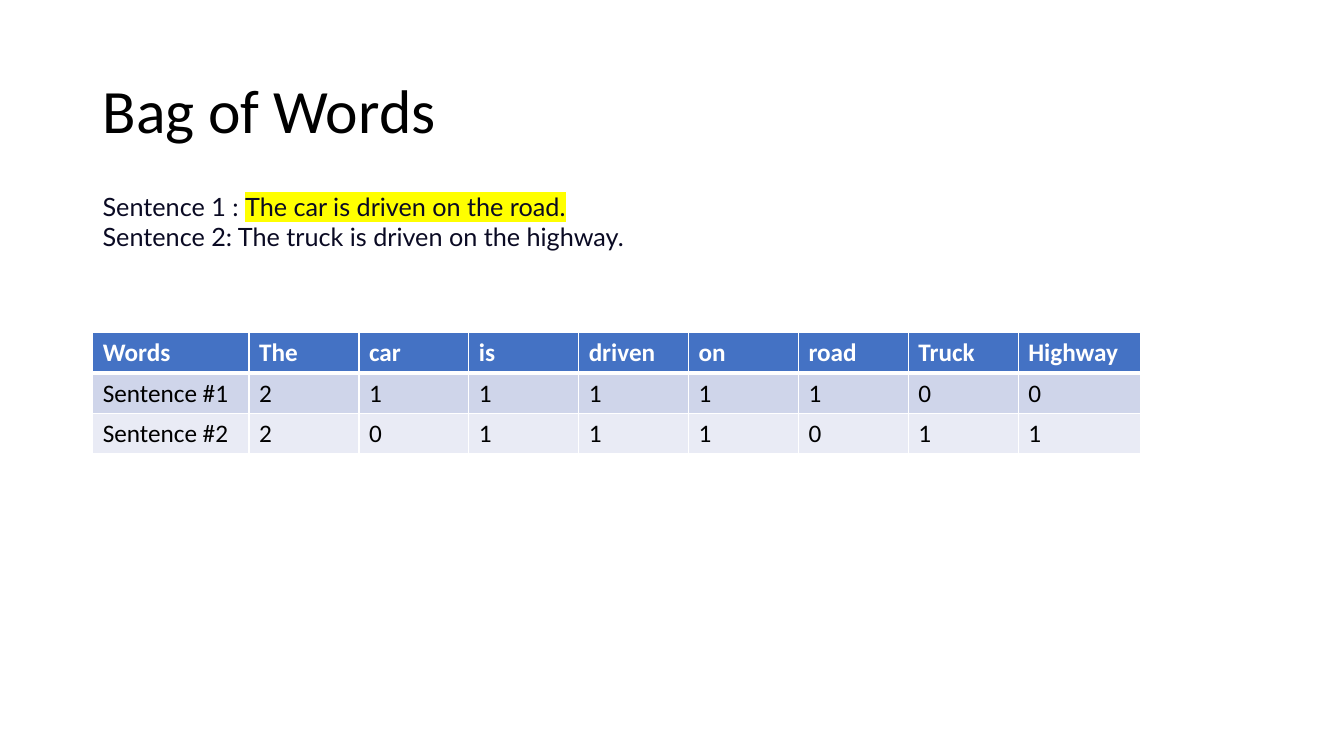
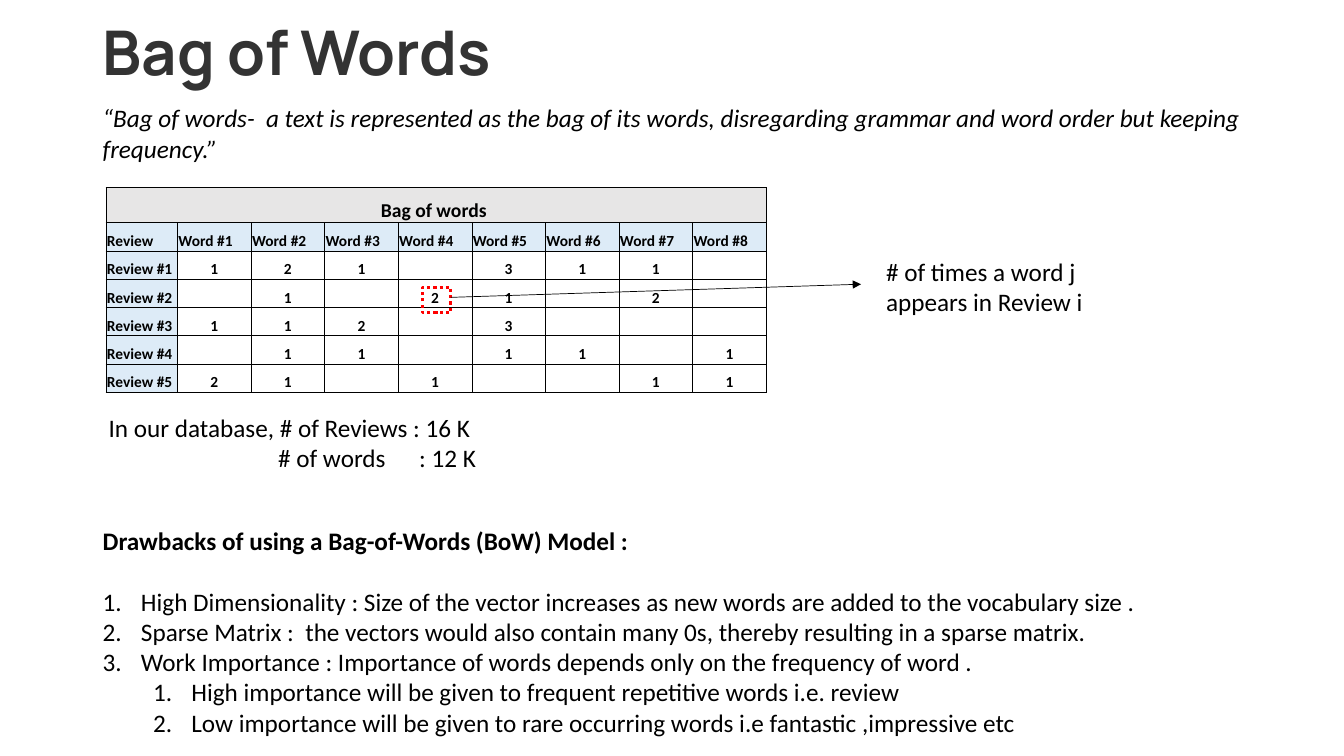
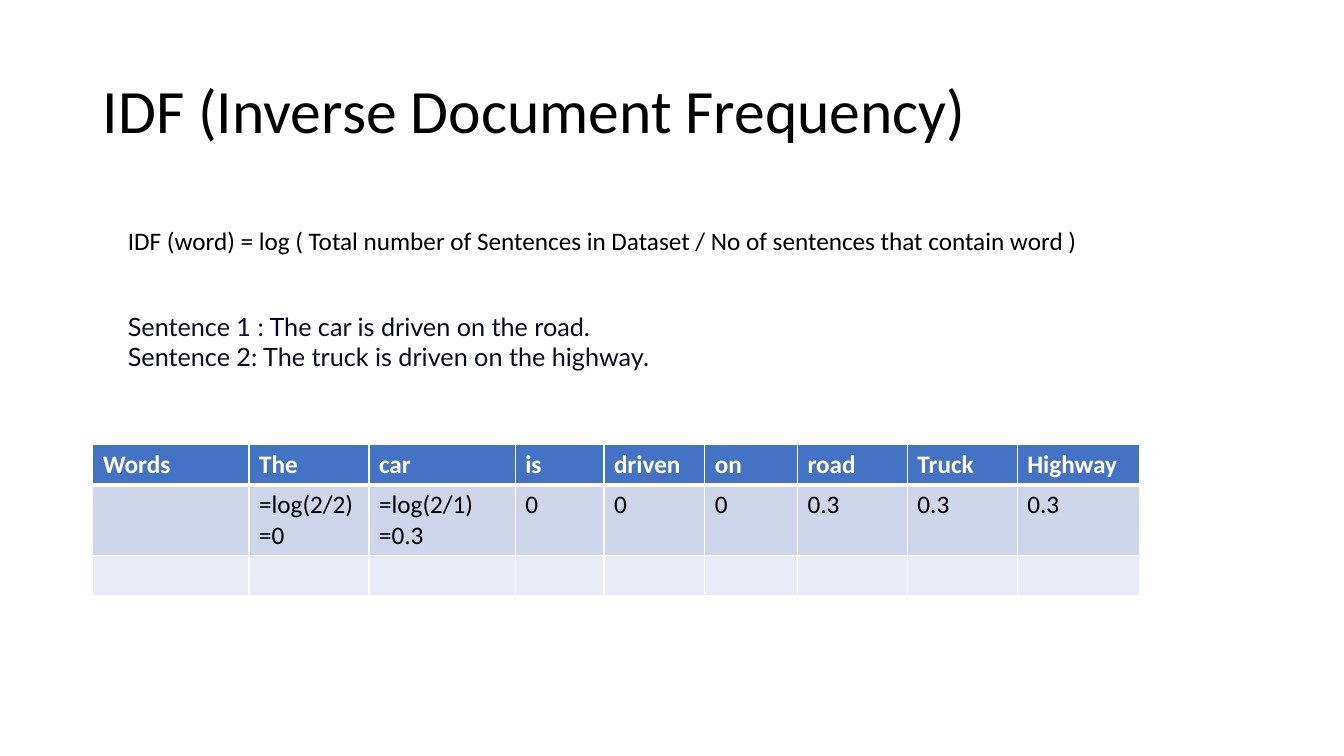
from lxml import etree
from pptx import Presentation
from pptx.dml.color import RGBColor
from pptx.enum.dml import MSO_LINE
from pptx.enum.shapes import MSO_CONNECTOR, MSO_SHAPE
from pptx.enum.text import MSO_ANCHOR, PP_ALIGN
from pptx.oxml.ns import qn
from pptx.util import Inches, Pt

BLACK = RGBColor(0x00, 0x00, 0x00)
WHITE = RGBColor(0xFF, 0xFF, 0xFF)
CHARCOAL = RGBColor(0x33, 0x33, 0x33)
NAVY = RGBColor(0x0A, 0x0A, 0x23)
YELLOW = RGBColor(0xFF, 0xFF, 0x00)
RED = RGBColor(0xFF, 0x00, 0x00)
HEADER_BLUE = RGBColor(0x44, 0x72, 0xC4)
BAND_DARK = RGBColor(0xCF, 0xD5, 0xEA)
BAND_LIGHT = RGBColor(0xE9, 0xEB, 0xF5)
GREY = RGBColor(0xE7, 0xE6, 0xE6)
PALE_BLUE = RGBColor(0xDD, 0xEB, 0xF7)

BODY_FONT, SENTENCE_FONT, ACCENT_FONT = "Calibri", "Lato", "Manrope"
SOLID_DOT = MSO_LINE.ROUND_DOT
RECTANGLE = MSO_SHAPE.RECTANGLE
STRAIGHT = MSO_CONNECTOR.STRAIGHT
MIDDLE, BOTTOM, TOP = MSO_ANCHOR.MIDDLE, MSO_ANCHOR.BOTTOM, MSO_ANCHOR.TOP
LEFT, CENTER = PP_ALIGN.LEFT, PP_ALIGN.CENTER

MARGIN = 0.92
WORDS = ["Words", "The", "car", "is", "driven", "on", "road", "Truck", "Highway"]
SENTENCE_2 = "Sentence 2: The truck is driven on the highway."


def add_xml(parent, tag, **attributes):
    return etree.SubElement(parent, qn(tag), attributes)


class Deck:
    """Holds the shared style and the slide being filled."""

    def __init__(self):
        self.prs = Presentation()
        self.prs.slide_width, self.prs.slide_height = Inches(13.33), Inches(7.5)
        self.slide = None

    def new_slide(self):
        self.slide = self.prs.slides.add_slide(self.prs.slide_layouts[6])

    def run(self, paragraph, text, size=18, font=BODY_FONT, color=BLACK,
            bold=False, italic=False, highlight=None):
        run = paragraph.add_run()
        run.text = text
        style = run.font
        style.size, style.name, style.bold, style.italic = Pt(size), font, bold, italic
        style.color.rgb = color
        if highlight is not None:
            mark = etree.Element(qn("a:highlight"))
            add_xml(mark, "a:srgbClr", val=str(highlight))
            run._r.rPr.find(qn("a:solidFill")).addnext(mark)

    def text(self, left, top, width, height, lines, anchor=TOP, **style):
        """Each line is a string or a list of (text, extra style) runs."""
        box = self.slide.shapes.add_textbox(
            Inches(left), Inches(top), Inches(width), Inches(height))
        frame = box.text_frame
        frame.word_wrap = True
        frame.vertical_anchor = anchor
        for i, line in enumerate(lines):
            paragraph = frame.add_paragraph() if i else frame.paragraphs[0]
            runs = [(line, {})] if isinstance(line, str) else line
            for words, extra in runs:
                self.run(paragraph, words, **{**style, **extra})
        return frame.paragraphs

    def title(self, words, top=0.4, height=1.45, **style):
        heading = self.text(MARGIN, top, 11.5, height, [words], MIDDLE, size=44, **style)[0]
        heading.line_spacing = 0.9

    def sentences(self, left, top, highlight=None):
        first = [("Sentence 1 : ", {}),
                 ("The car is driven on the road.", {"highlight": highlight})]
        self.text(left, top, 6.67, 0.71, [first, SENTENCE_2],
                  font=SENTENCE_FONT, color=NAVY)

    def number(self, paragraph, level):
        paragraph.level = level
        properties = paragraph._p.get_or_add_pPr()
        properties.set("marL", str(Inches(0.38 + 0.5 * level)))
        properties.set("indent", str(Inches(-0.38)))
        add_xml(properties, "a:buFont", typeface="+mj-lt")
        add_xml(properties, "a:buAutoNum", type="arabicPeriod")

    def tab_stops(self, paragraph, stops):
        tabs = add_xml(paragraph._p.get_or_add_pPr(), "a:tabLst")
        for stop in stops:
            add_xml(tabs, "a:tab", pos=str(Inches(stop)), algn="l")

    def table(self, left, top, columns, rows):
        frame = self.slide.shapes.add_table(
            len(rows), len(columns), Inches(left), Inches(top),
            Inches(sum(columns)), Inches(sum(rows)))
        table = frame.table
        table.first_row = table.horz_banding = False
        for column, width in zip(table.columns, columns):
            column.width = Inches(width)
        for row, height in zip(table.rows, rows):
            row.height = Inches(height)
        return table

    def cell(self, cell, words, fill, border, weights, align=LEFT, size=18, **style):
        """Weights are the border widths left, right, top and bottom."""
        properties = cell._tc.get_or_add_tcPr()
        for side, weight in zip("LRTB", weights):
            line = add_xml(properties, f"a:ln{side}", w=str(Pt(weight)))
            add_xml(add_xml(line, "a:solidFill"), "a:srgbClr", val=str(border))
        if fill is None:
            cell.fill.background()
        else:
            cell.fill.solid()
            cell.fill.fore_color.rgb = fill
        frame = cell.text_frame
        for i, line in enumerate(words.split("\n")):
            paragraph = frame.add_paragraph() if i else frame.paragraphs[0]
            paragraph.alignment = align
            if line:
                self.run(paragraph, line, size=size, **style)
            else:
                paragraph._p.get_or_add_endParaRPr().set("sz", str(size * 100))

    def word_table(self, top, columns, heights, body):
        table = self.table(MARGIN, top, columns, heights)
        fills = [HEADER_BLUE, BAND_DARK, BAND_LIGHT]
        for r, values in enumerate([WORDS] + body):
            header = r == 0
            weights = (1, 1, 3 if r == 1 else 1, 3 if header else 1)
            for c, value in enumerate(values):
                self.cell(table.cell(r, c), value, fills[r], WHITE, weights,
                          color=WHITE if header else BLACK, bold=header)

    def review_table(self, left, top, counts):
        table = self.table(left, top, [0.71] + [0.73] * 8, [0.35] + [0.28] * 6)
        header = ["Review"] + [f"Word #{n}" for n in range(1, 9)]
        reviews = [[f"Review #{n}"] + list(row.replace("-", " "))
                   for n, row in enumerate(counts, 1)]
        for r, values in enumerate([["Bag of words "] + [""] * 8, header] + reviews):
            for c, value in enumerate(values):
                cell = table.cell(r, c)
                cell.margin_left = cell.margin_right = cell.margin_top = Inches(0.01)
                cell.margin_bottom = 0
                cell.vertical_anchor = BOTTOM
                label = r == 1 or c == 0
                fill = GREY if r == 0 else PALE_BLUE if label else None
                self.cell(cell, value if r == 0 else value.strip(), fill, BLACK, [0.5] * 4,
                          align=LEFT if r and label else CENTER,
                          size=11 if r else 14, bold=True)
        table.cell(0, 0).merge(table.cell(0, 8))

    def marker(self, left, top, width, height):
        box = self.slide.shapes.add_shape(
            RECTANGLE, Inches(left), Inches(top), Inches(width), Inches(height))
        box.shadow.inherit = False
        box.fill.background()
        box.line.color.rgb = RED
        box.line.width = Pt(2.25)
        box.line.dash_style = SOLID_DOT

    def arrow(self, x1, y1, x2, y2):
        arrow = self.slide.shapes.add_connector(
            STRAIGHT, Inches(x1), Inches(y1), Inches(x2), Inches(y2))
        arrow.line.color.rgb = BLACK
        arrow.line.width = Pt(0.5)
        add_xml(arrow.line._get_or_add_ln(), "a:tailEnd", type="triangle")
        add_xml(arrow._element.spPr, "a:effectLst")


def word_counts(deck):
    deck.new_slide()
    deck.title("Bag of Words")
    deck.sentences(MARGIN, 1.85, highlight=YELLOW)
    deck.word_table(3.3, [1.55] + [1.09] * 7 + [1.21], [0.4] * 3,
                    [["Sentence #1", *"21111100"], ["Sentence #2", *"20111011"]])


def reviews_and_drawbacks(deck):
    deck.new_slide()
    deck.title("Bag of Words", 0.18, 0.75, font=ACCENT_FONT, color=CHARCOAL, bold=True)
    deck.text(MARGIN, 0.97, 11.5, 0.71,
              ["“Bag of words-  a text is represented as the bag of its words, "
               "disregarding grammar and word order but keeping frequency.”"], italic=True)

    # Drawbacks, with two nested points
    heading, *points = deck.text(MARGIN, 5.16, 11.95, 2.2, [
        [("Drawbacks of using a Bag-of-Words (BoW) Model :", {"bold": True})],
        "High Dimensionality : Size of the vector increases as new words are added "
        "to the vocabulary size .",
        "Sparse Matrix :  the vectors would also contain many 0s, thereby resulting "
        "in a sparse matrix.",
        "Work Importance : Importance of words depends only on the frequency of word .",
        "High importance will be given to frequent repetitive words i.e. review",
        "Low importance will be given to rare occurring words i.e fantastic ,impressive etc",
    ])
    heading.space_after = Pt(22)
    for point, level in zip(points, [0, 0, 0, 1, 1]):
        deck.number(point, level)

    # Review counts, a dash for an empty cell
    deck.review_table(1.05, 1.86,
                      ["121-311-", "-1-21-2-", "112-3---", "-11-11-1", "21-1--11"])
    deck.marker(4.19, 2.85, 0.28, 0.25)
    deck.arrow(4.47, 2.95, 8.54, 2.82)
    deck.text(8.69, 2.49, 2.34, 0.71, ["# of times a word j appears in Review i"])

    # Database size
    word_total = deck.text(0.98, 4.04, 4.2, 0.71, [
        "In our database, # of Reviews : 16 K", "\t# of words\t: 12 K"])[1]
    deck.tab_stops(word_total, [1.68, 3.08])


def inverse_document_frequency(deck):
    deck.new_slide()
    deck.title("IDF (Inverse Document Frequency)")
    deck.text(1.17, 2.19, 10, 0.4,
              ["IDF (word) = log ( Total number of Sentences in Dataset / "
               "No of sentences that contain word )"])
    deck.sentences(1.17, 3.04)
    deck.word_table(4.41, [1.55, 1.19, 1.45, 0.88, 1, 0.92, 1.09, 1.09, 1.21],
                    [0.4, 0.7, 0.4],
                    [["", "=log(2/2)\n=0", "=log(2/1)\n=0.3"] + ["0"] * 3 + ["0.3"] * 3,
                     [""] * 9])


def main():
    deck = Deck()
    word_counts(deck)
    reviews_and_drawbacks(deck)
    inverse_document_frequency(deck)
    deck.prs.save("out.pptx")


if __name__ == "__main__":
    main()
